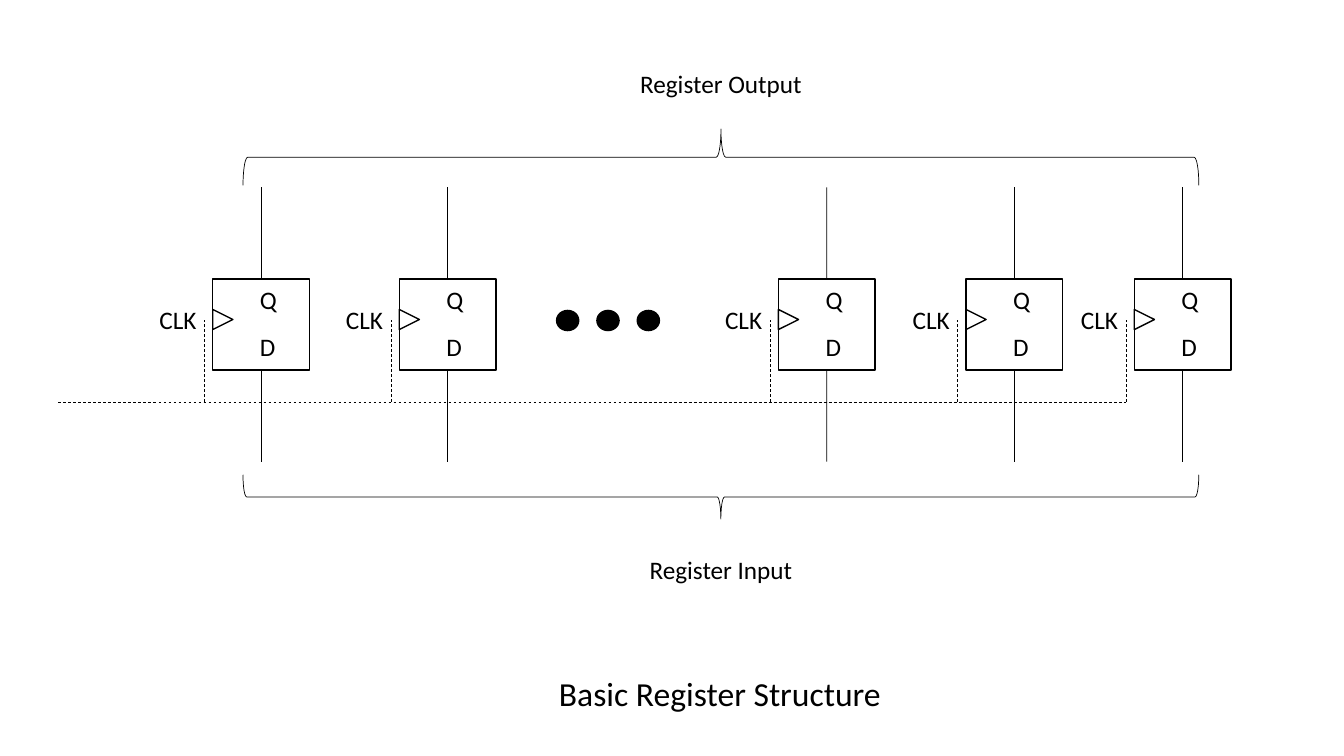
from pptx import Presentation
from pptx.dml.color import RGBColor
from pptx.enum.dml import MSO_LINE
from pptx.enum.shapes import MSO_CONNECTOR, MSO_SHAPE
from pptx.enum.text import MSO_AUTO_SIZE, PP_ALIGN
from pptx.oxml.ns import qn
from pptx.util import Inches, Pt
from lxml import etree

BLACK = RGBColor(0, 0, 0)
RECTANGLE = MSO_SHAPE.RECTANGLE
TRIANGLE = MSO_SHAPE.ISOSCELES_TRIANGLE
ELLIPSE = MSO_SHAPE.OVAL
BRACE = MSO_SHAPE.LEFT_BRACE
STRAIGHT = MSO_CONNECTOR.STRAIGHT
DASH = MSO_LINE.DASH
CENTER = PP_ALIGN.CENTER
GROW = MSO_AUTO_SIZE.SHAPE_TO_FIT_TEXT
TOP_SIDE, BOTTOM_SIDE = 0, 2

# Layout in inches
FLIP_FLOP_LEFTS = [2.11, 3.96, 7.72, 9.58, 11.25]
FLIP_FLOP_TOP, FLIP_FLOP_WIDTH, FLIP_FLOP_HEIGHT = 2.77, 0.96, 0.9
WIRE_LENGTH = 0.91
CLOCK_TOP, BUS_TOP, BUS_LEFT, CLOCK_GAP = 3.17, 3.99, 0.58, 0.08
REGISTER_CENTER = 7.15

deck = Presentation()
deck.slide_width, deck.slide_height = Inches(13.33), Inches(7.5)
page = deck.slides.add_slide(deck.slide_layouts[6])


def add_outline(kind, left, top, width, height, weight=1, rotation=0):
    shape = page.shapes.add_shape(
        kind, Inches(left), Inches(top), Inches(width), Inches(height))
    shape.shadow.inherit = False
    shape.fill.background()
    shape.line.color.rgb = BLACK
    shape.line.width = Pt(weight)
    shape.rotation = rotation
    return shape


def add_wire(start_x, start_y, end_x, end_y, dash=None):
    wire = page.shapes.add_connector(
        STRAIGHT, Inches(start_x), Inches(start_y), Inches(end_x), Inches(end_y))
    wire.line.color.rgb = BLACK
    wire.line.width = Pt(0.5)
    wire.line.dash_style = dash
    etree.SubElement(wire._element.spPr, qn("a:effectLst"))
    return wire


labels = [
    ("Register Output", REGISTER_CENTER - 1.01, 0.63, 2.02, 0.4, 18),
    ("Register Input", REGISTER_CENTER - 1.01, 5.45, 2.02, 0.4, 18),
    ("Basic Register Structure", REGISTER_CENTER - 2.1, 6.63, 4.18, 0.5, 24),
]

# Flip-flops with their data wires and clock taps
flip_flop_bottom = FLIP_FLOP_TOP + FLIP_FLOP_HEIGHT
for left in FLIP_FLOP_LEFTS:
    flip_flop = add_outline(
        RECTANGLE, left, FLIP_FLOP_TOP, FLIP_FLOP_WIDTH, FLIP_FLOP_HEIGHT)
    add_outline(TRIANGLE, left, FLIP_FLOP_TOP + 0.3, 0.2, 0.2, rotation=90)
    labels += [
        ("Q", left + 0.37, FLIP_FLOP_TOP, 0.27, 0.4, 18),
        ("D", left + 0.37, FLIP_FLOP_TOP + 0.47, 0.27, 0.4, 18),
        ("CLK", left - 0.69, FLIP_FLOP_TOP + 0.2, 0.69, 0.4, 18),
    ]

    middle = left + FLIP_FLOP_WIDTH / 2
    output_wire = add_wire(middle, FLIP_FLOP_TOP - WIRE_LENGTH, middle, FLIP_FLOP_TOP)
    output_wire.end_connect(flip_flop, TOP_SIDE)
    input_wire = add_wire(middle, flip_flop_bottom, middle, flip_flop_bottom + WIRE_LENGTH)
    input_wire.begin_connect(flip_flop, BOTTOM_SIDE)

    tap = left - CLOCK_GAP
    add_wire(tap, BUS_TOP, tap, CLOCK_TOP, DASH)

add_wire(BUS_LEFT, BUS_TOP, FLIP_FLOP_LEFTS[-1] - CLOCK_GAP, BUS_TOP, DASH)

# Dots standing for the flip-flops left out
for index in range(3):
    dot = add_outline(ELLIPSE, 5.52 + 0.4 * index, 3.08, 0.22, 0.2)
    dot.fill.solid()
    dot.fill.fore_color.rgb = BLACK

# Braces over the outputs and under the inputs
for center_y, depth, rotation in [(1.56, 0.56, 90), (4.93, 0.44, 270)]:
    span = 9.48
    add_outline(BRACE, REGISTER_CENTER - depth / 2, center_y - span / 2,
                depth, span, 0.5, rotation)

for text, left, top, width, height, size in labels:
    box = page.shapes.add_textbox(
        Inches(left), Inches(top), Inches(width), Inches(height))
    box.text_frame.word_wrap = True
    box.text_frame.auto_size = GROW
    para = box.text_frame.paragraphs[0]
    para.alignment = CENTER
    run = para.add_run()
    run.text = text
    run.font.name = "Calibri"
    run.font.size = Pt(size)
    run.font.color.rgb = BLACK

deck.save("out.pptx")
